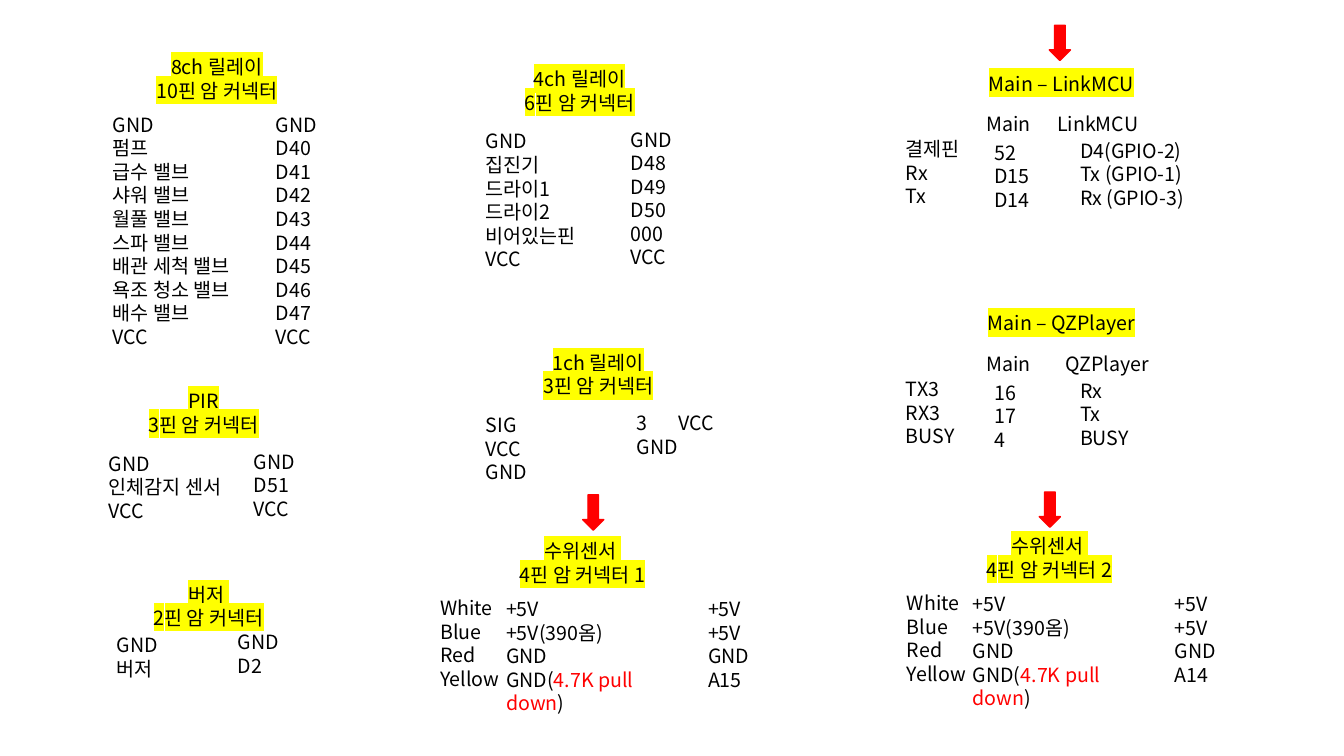
"""Builds a one-slide wiring chart of connectors and their pin assignments."""
from lxml import etree
from pptx import Presentation
from pptx.dml.color import RGBColor
from pptx.enum.shapes import MSO_SHAPE
from pptx.enum.text import PP_ALIGN
from pptx.oxml.ns import qn
from pptx.util import Pt

LEFT, CENTER = PP_ALIGN.LEFT, PP_ALIGN.CENTER
DOWN_ARROW = MSO_SHAPE.DOWN_ARROW
FONT = "Noto Sans CJK KR"
COLORS = {"text": "000000", "accent": "FF0000", "highlight": "FFFF00"}


def add_text(text, x, y, w=111, align=LEFT, highlight=False, accent=None):
    lines = text.split("\n")
    tf = s.shapes.add_textbox(Pt(x), Pt(y), Pt(w), Pt(7.2 + 17 * len(lines))).text_frame
    tf.word_wrap = True
    for i, line in enumerate(lines):
        p = tf.paragraphs[0] if i == 0 else tf.add_paragraph()
        p.alignment = align
        for part in line.partition(accent) if accent else [line]:
            if not part:
                continue
            r = p.add_run()
            r.text = part
            r.font.size = Pt(14)
            color = COLORS["accent" if part == accent else "text"]
            r.font.color.rgb = RGBColor.from_string(color)
            rPr = r.font._element
            if highlight:
                mark = etree.SubElement(rPr, qn("a:highlight"))
                etree.SubElement(mark, qn("a:srgbClr"), val=COLORS["highlight"])
            r.font.name = FONT
            etree.SubElement(rPr, qn("a:ea"), typeface=FONT)


prs = Presentation()
prs.slide_width, prs.slide_height = Pt(960), Pt(540)
s = prs.slides.add_slide(prs.slide_layouts[6])

relay8_pins = "\n".join(["GND", *(f"D{n}" for n in range(40, 48)), "VCC"])
relay8_labels = "GND\n펌프\n급수 밸브\n샤워 밸브\n월풀 밸브\n스파 밸브\n배관 세척 밸브\n욕조 청소 밸브\n배수 밸브\nVCC"

connectors = [
    ("8ch 릴레이\n10핀 암 커넥터", 99.4, 36, 111,
     [(relay8_labels, 73.4, 77), (relay8_pins, 190, 77)]),
    ("4ch 릴레이\n6핀 암 커넥터", 358.6, 44.6, 111,
     [("GND\n집진기\n드라이1\n드라이2\n비어있는핀\nVCC", 339.8, 88.9),
      ("GND\nD48\nD49\nD50\n000\nVCC", 443.5, 87.5)]),
    ("PIR\n3핀 암 커넥터", 90, 274.3, 111,
     [("GND\n인체감지 센서\nVCC", 70.6, 319), ("GND\nD51\nVCC", 174.2, 317.5)]),
    ("버저 \n2핀 암 커넥터", 39.6, 412.6, 219,
     [("GND\n버저", 76.3, 448.6), ("GND\nD2", 162.7, 446.4)]),
    ("1ch 릴레이\n3핀 암 커넥터", 362.2, 247, 130.3,
     [("SIG\nVCC\nGND", 339.8, 291.6), ("3\nGND", 447.8, 290.2), ("VCC", 477.4, 290.2)]),
]
for title, x, y, w, columns in connectors:
    add_text(title, x, y, w, align=CENTER, highlight=True)
    for text, column_x, column_y in columns:
        add_text(text, column_x, column_y)

board_links = [
    ("LinkMCU", 47.5, 748, "결제핀\nRx\nTx", "52\nD15\nD14",
     "D4(GPIO-2)\nTx (GPIO-1)\nRx (GPIO-3)"),
    ("QZPlayer", 218.9, 753.8, "TX3\nRX3\nBUSY", "16\n17\n4", "Rx\nTx\nBUSY"),
]
for module, y, module_x, labels, board_pins, module_pins in board_links:
    add_text(f"Main – {module}", 648.7, y, 219, align=CENTER, highlight=True)
    add_text("Main", 697.5, y + 28.8)
    add_text(module, module_x, y + 28.8)
    add_text(labels, 640, y + 46.8)
    add_text(board_pins, 703.2, y + 49.3)
    add_text(module_pins, 764.4, y + 47.9)

for number, x, y, pin in [(1, 307.4, 381.6, "A15"), (2, 640.8, 378, "A14")]:
    add_text(f"수위센서 \n4핀 암 커넥터 {number}", x + 26, y, 165.6, align=CENTER, highlight=True)
    add_text("White\nBlue\nRed\nYellow", x, y + 40.7)
    add_text("+5V\n+5V(390옴)\nGND\nGND(4.7K pull down)", x + 47, y + 41.4, 147,
             accent="4.7K pull down")
    add_text(f"+5V\n+5V\nGND\n{pin}", x + 191.3, y + 41.4)

for x, y in [(416.2, 353.5), (742.3, 351.4), (749.5, 18)]:
    sp = s.shapes.add_shape(DOWN_ARROW, Pt(x), Pt(y), Pt(15.1), Pt(25.2))
    sp.shadow.inherit = False
    sp.fill.solid()
    sp.fill.fore_color.rgb = RGBColor.from_string(COLORS["accent"])
    sp.line.color.rgb = RGBColor.from_string(COLORS["accent"])
    sp.line.width = Pt(1)

prs.save("out.pptx")
